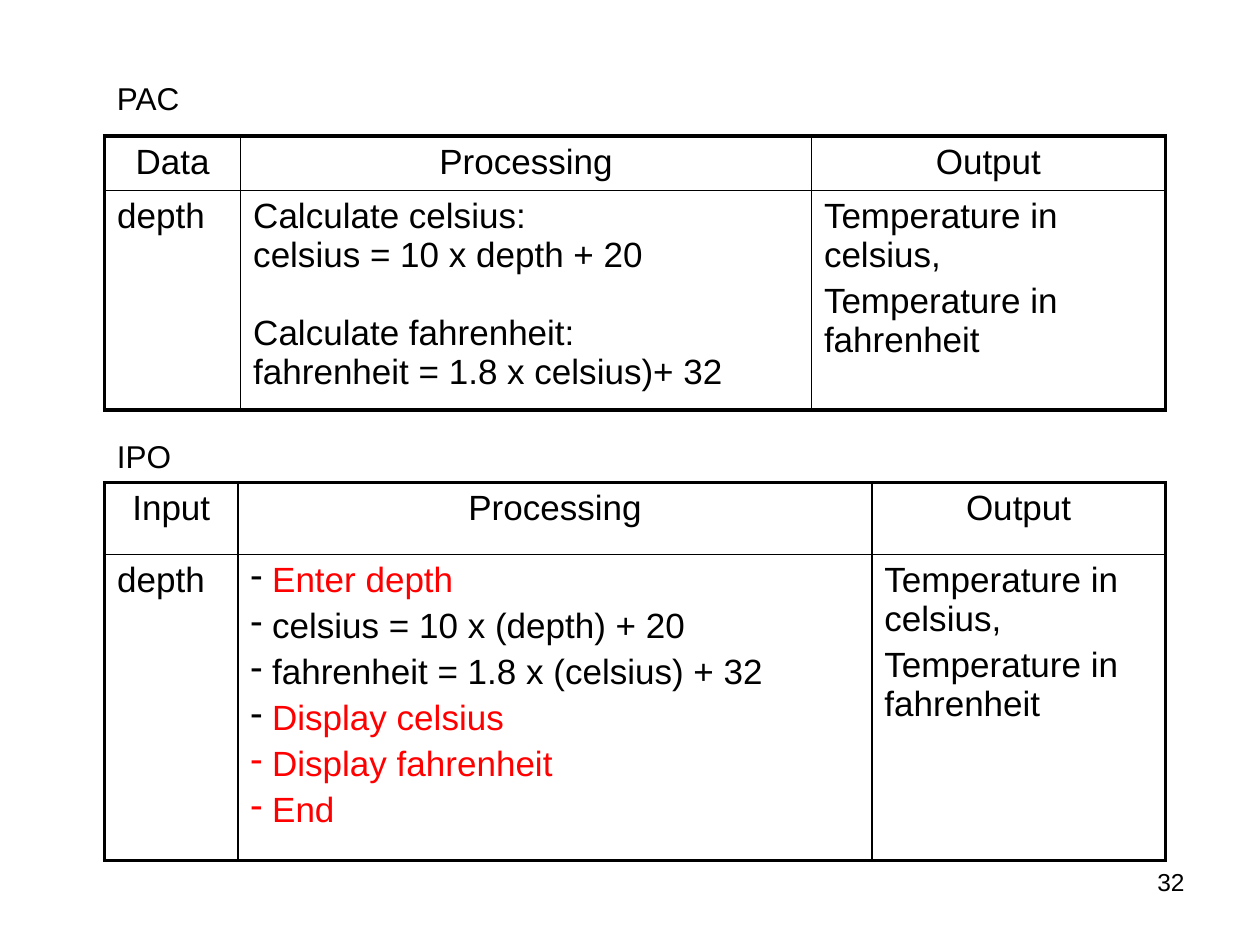
"""Build a slide with the PAC and IPO tables of a temperature problem."""
from dataclasses import dataclass

from lxml import etree
from pptx import Presentation
from pptx.dml.color import RGBColor
from pptx.enum.text import MSO_AUTO_SIZE, PP_ALIGN
from pptx.oxml.ns import qn
from pptx.util import Pt

LEFT, CENTER, RIGHT = PP_ALIGN.LEFT, PP_ALIGN.CENTER, PP_ALIGN.RIGHT
FIT_SHAPE = MSO_AUTO_SIZE.SHAPE_TO_FIT_TEXT
SCALE = 9144


@dataclass(frozen=True)
class Theme:
    """Colours, type sizes and line widths of the deck."""
    font: str = "Arial"
    ink: str = "000000"
    accent: str = "FF0000"
    table_size: int = 20
    label_size: int = 18
    number_size: int = 14
    outer_line: float = 2.25
    inner_line: float = 1
    item_gap: int = 4
    block_gap: int = 22
    bullet_indent: int = 17


THEME = Theme()


@dataclass(frozen=True)
class Line:
    """One paragraph of a table cell."""
    text: str
    gap: int = THEME.item_gap
    color: str = THEME.ink
    bullet: str = ""


def px(length):
    """Turn px into EMU."""
    return length * SCALE


class SlideWriter:
    """Hold the theme and the current slide, and add elements to it."""

    def __init__(self, page, theme):
        self.page = page
        self.theme = theme

    def style(self, para, size, color, align=LEFT):
        """Format a paragraph and its runs."""
        para.alignment = align
        for span in para.runs:
            span.font.name = self.theme.font
            span.font.size = Pt(size)
            span.font.color.rgb = RGBColor.from_string(color)

    def text(self, words, left, top, width, height, size, align=LEFT, wrap=False):
        """Add a single line of text."""
        box = self.page.shapes.add_textbox(px(left), px(top), px(width), px(height))
        frame = box.text_frame
        frame.word_wrap = wrap
        if not wrap:
            frame.auto_size = FIT_SHAPE
        frame.text = words
        self.style(frame.paragraphs[0], size, self.theme.ink, align)

    def bullet(self, para, color):
        """Give a paragraph a hanging dash."""
        properties = para._p.get_or_add_pPr()
        indent = px(self.theme.bullet_indent)
        properties.set("marL", str(indent))
        properties.set("indent", str(-indent))
        tint = etree.SubElement(properties, qn("a:buClr"))
        etree.SubElement(tint, qn("a:srgbClr"), val=color)
        etree.SubElement(properties, qn("a:buChar"), char="-")

    def border(self, cell, side, width):
        """Draw one side of a cell."""
        line = etree.SubElement(cell._tc.get_or_add_tcPr(), qn(f"a:ln{side}"), w=str(Pt(width)))
        fill = etree.SubElement(line, qn("a:solidFill"))
        etree.SubElement(fill, qn("a:srgbClr"), val=self.theme.ink)

    def fill_cell(self, cell, lines, align):
        """Write the lines of one cell."""
        frame = cell.text_frame
        frame.text = "\n".join(line.text for line in lines)
        for index, (para, line) in enumerate(zip(frame.paragraphs, lines)):
            if line.bullet:
                self.bullet(para, line.bullet)
            if index:
                para.space_before = Pt(line.gap)
            self.style(para, self.theme.table_size, line.color, align)

    def table(self, left, top, widths, heights, rows):
        """Add a ruled table with a centred header row."""
        shape = self.page.shapes.add_table(
            len(heights), len(widths), px(left), px(top), px(sum(widths)), px(sum(heights)))
        grid = shape.table
        grid.first_row = grid.horz_banding = False
        for column, width in zip(grid.columns, widths):
            column.width = px(width)
        last_row, last_column = len(heights) - 1, len(widths) - 1
        for r, (height, row) in enumerate(zip(heights, rows)):
            grid.rows[r].height = px(height)
            for c, lines in enumerate(row):
                cell = grid.cell(r, c)
                self.fill_cell(cell, lines, LEFT if r else CENTER)
                edges = {"L": c == 0, "R": c == last_column, "T": r == 0, "B": r == last_row}
                for side, outer in edges.items():
                    self.border(cell, side, self.theme.outer_line if outer else self.theme.inner_line)
                cell.fill.background()


def header(*names):
    """Return a header row with one line in each cell."""
    return [[Line(name)] for name in names]


def main():
    """Build and save the deck."""
    deck = Presentation()
    deck.slide_width, deck.slide_height = px(1000), px(750)
    writer = SlideWriter(deck.slides.add_slide(deck.slide_layouts[6]), THEME)
    ink, accent = THEME.ink, THEME.accent
    left = 83

    data = [Line("depth")]
    output = [Line("Temperature in celsius,"), Line("Temperature in fahrenheit")]
    formulas = [
        Line("Calculate celsius:"),
        Line("celsius = 10 x depth + 20", gap=0),
        Line("Calculate fahrenheit:", gap=THEME.block_gap),
        Line("fahrenheit = 1.8 x celsius)+ 32", gap=0),
    ]
    steps = [
        Line("Enter depth", color=accent, bullet=ink),
        Line("celsius = 10 x (depth) + 20", bullet=ink),
        Line("fahrenheit = 1.8 x (celsius) + 32", bullet=ink),
        Line("Display celsius", color=accent, bullet=ink),
        Line("Display fahrenheit", color=accent, bullet=accent),
        Line("End", color=accent, bullet=accent),
    ]

    writer.text("PAC", left, 58, 70, 40, THEME.label_size)
    writer.table(left, 108, [108, 453, 281], [43, 165],
                 [header("Data", "Processing", "Output"), [data, formulas, output]])
    writer.text("IPO", left, 342, 64, 40, THEME.label_size)
    writer.table(left, 383, [106, 503, 233], [57, 243],
                 [header("Input", "Processing", "Output"), [data, steps, output]])
    writer.text("32", 717, 683, 233, 52, THEME.number_size, RIGHT, wrap=True)
    deck.save("out.pptx")


if __name__ == "__main__":
    main()
